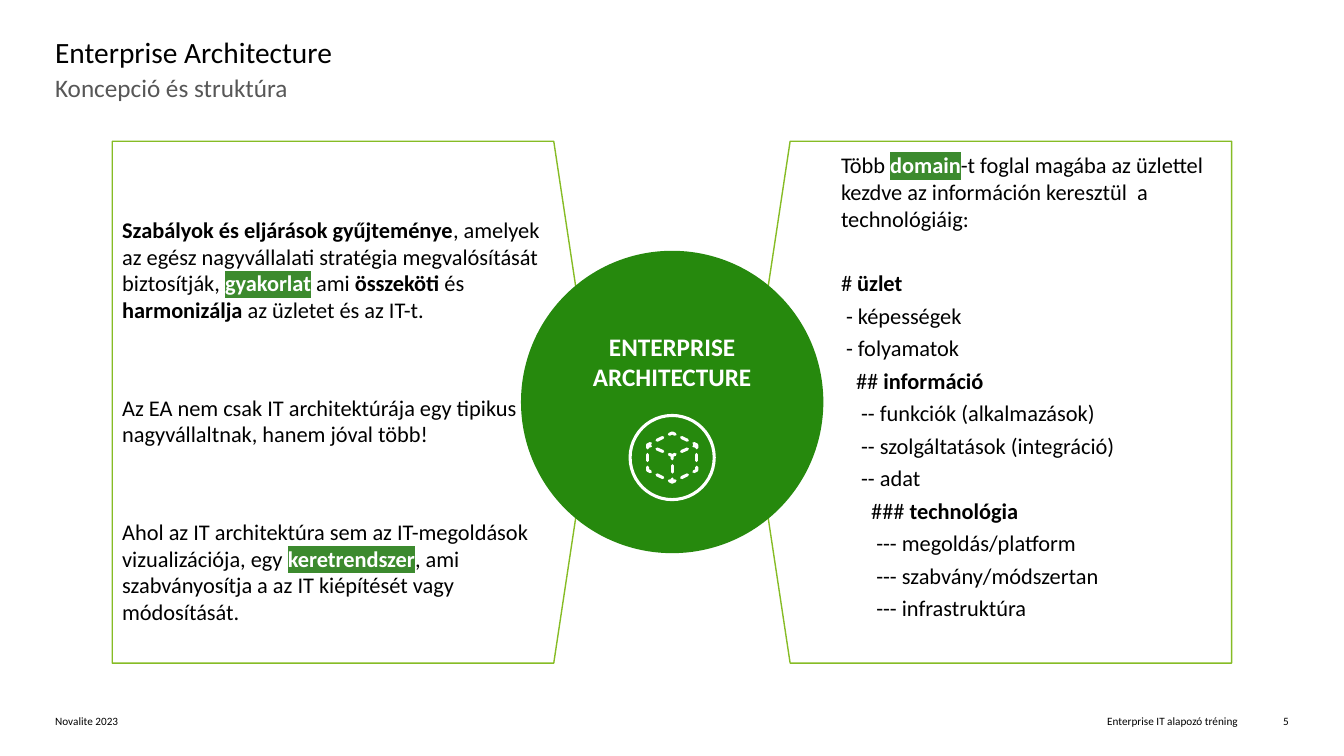
from lxml.etree import SubElement
from pptx import Presentation
from pptx.dml.color import RGBColor
from pptx.enum.shapes import MSO_CONNECTOR, MSO_SHAPE
from pptx.enum.text import MSO_ANCHOR, PP_ALIGN
from pptx.oxml import parse_xml
from pptx.oxml.ns import nsdecls, qn
from pptx.util import Cm, Pt


def color(code):
    return RGBColor.from_string(code)


def write(frame, text, size, code="000000", align=PP_ALIGN.LEFT, first=False):
    """Add a paragraph; *stars* mark bold and =signs= mark highlighted words."""
    para = frame.paragraphs[0] if first else frame.add_paragraph()
    para.alignment = align
    para.font.size, para.font.name = Pt(size), "Calibri"
    para.font.color.rgb = color(code)
    for i, part in enumerate(text.split("*")):
        if not part:
            continue
        run = para.add_run()
        run.text = part.strip("=")
        run.font.bold = i % 2 == 1
        if part.startswith("="):
            run.font.color.rgb = color("FFFFFF")
            fill = run.font._element.find(qn("a:solidFill"))
            fill.addnext(parse_xml(
                f'<a:highlight {nsdecls("a")}><a:srgbClr val="3C8A2E"/></a:highlight>'))
    return para


deck = Presentation()
deck.slide_width, deck.slide_height = Cm(33.87), Cm(19.05)
slide = deck.slides.add_slide(deck.slide_layouts[6])
shapes = slide.shapes

# Title, subtitle and footer
labels = [
    ("Enterprise Architecture", 1.39, 0.86, 31.1, 0.97, 21, "000000", PP_ALIGN.LEFT),
    ("Koncepció és struktúra", 1.39, 1.82, 31.1, 2.1, 18, "575757", PP_ALIGN.LEFT),
    ("Novalite 2023", 1.39, 18, 13.6, 0.33, 8, "000000", PP_ALIGN.LEFT),
    ("Enterprise IT alapozó tréning", 17.6, 18, 13.6, 0.33, 8, "000000", PP_ALIGN.RIGHT),
    ("5", 31.62, 18, 0.86, 0.33, 8, "000000", PP_ALIGN.RIGHT),
]
for text, x, y, w, h, size, code, align in labels:
    frame = shapes.add_textbox(Cm(x), Cm(y), Cm(w), Cm(h)).text_frame
    frame.word_wrap = True
    frame.margin_left = frame.margin_right = frame.margin_top = frame.margin_bottom = 0
    write(frame, text, size, code, align, first=True)

# Side panels: text, space before in points, indent in spaces
left = [
    ("*Szabályok és eljárások gyűjteménye*, amelyek az egész nagyvállalati stratégia "
     "megvalósítását biztosítják, *=gyakorlat=* ami *összeköti* és *harmonizálja* "
     "az üzletet és az IT-t.", 0, 0),
    ("Az EA nem csak IT architektúrája egy tipikus nagyvállaltnak, hanem jóval több!", 50.3, 0),
    ("Ahol az IT architektúra sem az IT-megoldások vizualizációja, egy "
     "*=keretrendszer=*, ami szabványosítja a az IT kiépítését vagy módosítását.", 50.3, 0),
]
right = [
    ("Több *=domain=*-t foglal magába az üzlettel kezdve az információn keresztül  a "
     "technológiáig:", 0, 0),
    ("# *üzlet*", 27, 0),
    ("- képességek", 4, 1),
    ("- folyamatok", 4, 1),
    ("## *információ*", 4, 3),
    ("-- funkciók (alkalmazások)", 4, 4),
    ("-- szolgáltatások (integráció)", 4, 4),
    ("-- adat", 4, 4),
    ("### *technológia*", 4, 6),
    ("--- megoldás/platform", 4, 7),
    ("--- szabvány/módszertan", 4, 7),
    ("--- infrastruktúra", 4, 7),
]
panels = [(2.83, left, 0.25, 0.51, 1.88), (18.92, right, 1.78, 0.25, 0.25)]
for x, lines, start, end, top in panels:
    panel = shapes.add_shape(MSO_SHAPE.PENTAGON, Cm(x), Cm(3.56), Cm(12.12), Cm(13.15))
    panel.adjustments[0] = 0.082
    panel.shadow.inherit = False
    panel.fill.solid()
    panel.fill.fore_color.rgb = color("FFFFFF")
    panel.line.color.rgb = color("86BC25")
    panel.line.width = Pt(1)
    if lines is right:
        panel._element.spPr.get_or_add_xfrm().set("flipH", "1")
    frame = panel.text_frame
    frame.word_wrap = True
    frame.vertical_anchor = MSO_ANCHOR.TOP
    frame.margin_left, frame.margin_right = Cm(start), Cm(end)
    frame.margin_top, frame.margin_bottom = Cm(top), Cm(0.25)
    for i, (text, gap, indent) in enumerate(lines):
        para = write(frame, text, 16, first=i == 0)
        para.space_before = Pt(gap)
        para._p.get_or_add_pPr().set("marL", str(Pt(3.6 * indent)))

# Centre circle
disc = shapes.add_shape(MSO_SHAPE.OVAL, Cm(13.13), Cm(6.32), Cm(7.62), Cm(7.62))
disc.shadow.inherit = False
disc.fill.solid()
disc.fill.fore_color.rgb = color("26890D")
disc.line.fill.background()
frame = disc.text_frame
frame.word_wrap = True
frame.vertical_anchor = MSO_ANCHOR.MIDDLE
frame.margin_left = frame.margin_right = frame.margin_top = Cm(0.25)
frame.margin_bottom = Cm(2.3)
write(frame, "*ENTERPRISE ARCHITECTURE*", 18, "FFFFFF", PP_ALIGN.CENTER, first=True)

# Ring with a dashed cube
mid_x, mid_y, ring_r = 16.94, 11.53, 1.06
ring = shapes.add_shape(MSO_SHAPE.OVAL, Cm(mid_x - ring_r), Cm(mid_y - ring_r),
                        Cm(2 * ring_r), Cm(2 * ring_r))
ring.shadow.inherit = False
ring.fill.background()
ring.line.color.rgb = color("FFFFFF")
ring.line.width = Pt(2.2)

nodes = {"top": (0, -0.62), "nw": (-0.62, -0.32), "ne": (0.62, -0.32), "hub": (0, -0.05),
         "sw": (-0.62, 0.32), "se": (0.62, 0.32), "base": (0, 0.62)}
edges = ["nw top", "ne top", "nw hub", "ne hub", "nw sw", "ne se",
         "hub base", "sw base", "se base"]
arms = {name: [] for name in nodes}
marks = []
for edge in edges:
    one, two = edge.split()
    (ax, ay), (bx, by) = nodes[one], nodes[two]
    near, begin, end, far = [
        (Cm(mid_x + ax + (bx - ax) * t), Cm(mid_y + ay + (by - ay) * t))
        for t in (0.12, 0.38, 0.62, 0.88)]
    arms[one].append(near)
    arms[two].append(far)
    marks.append(shapes.add_connector(MSO_CONNECTOR.STRAIGHT, *begin, *end))

for name, (x, y) in nodes.items():
    node = (Cm(mid_x + x), Cm(mid_y + y))
    first, *rest = arms[name]
    pen = shapes.build_freeform(*first)
    for tip in rest:
        pen.add_line_segments([node, tip], close=False)
    corner = pen.convert_to_shape()
    corner.fill.background()
    marks.append(corner)

for mark in marks:
    mark.line.color.rgb = color("FFFFFF")
    mark.line.width = Pt(2.2)
    outline = mark._element.spPr
    outline.find(qn("a:ln")).set("cap", "rnd")
    SubElement(outline, qn("a:effectLst"))

deck.save("out.pptx")
